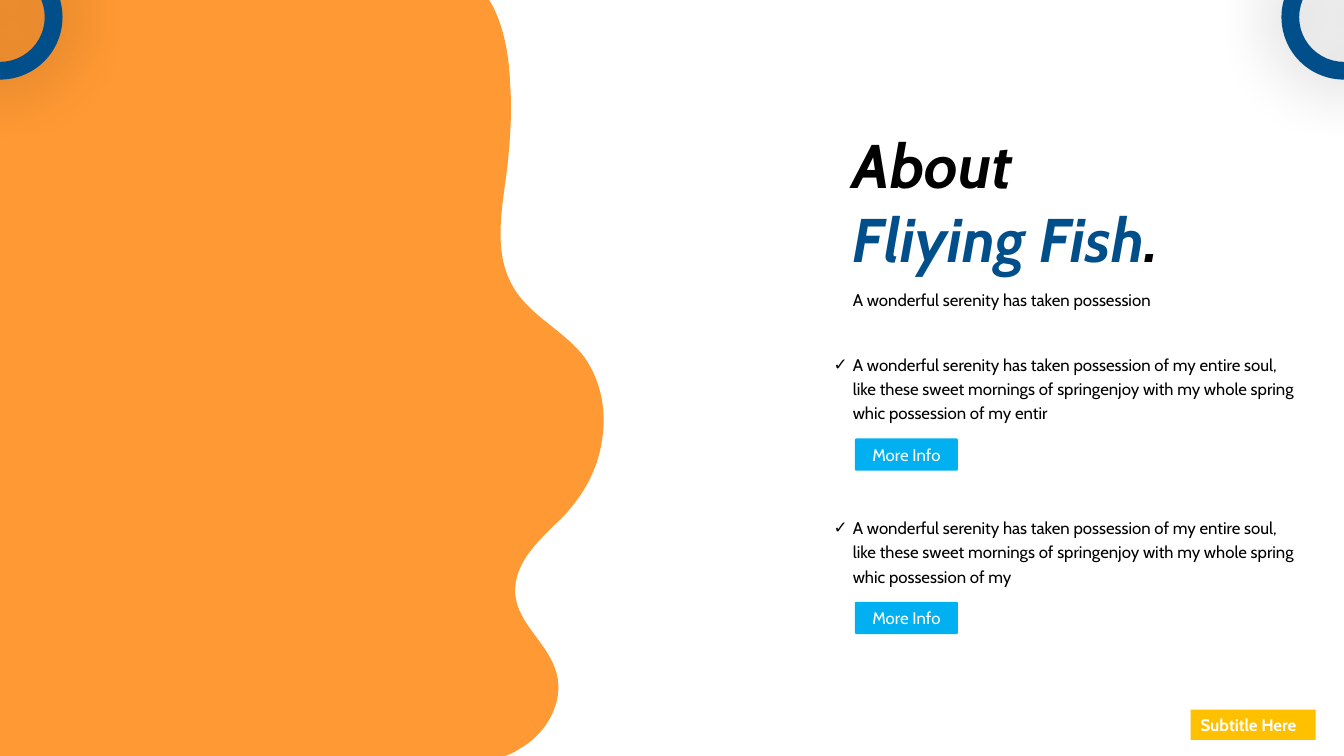
from lxml import etree
from pptx import Presentation
from pptx.dml.color import RGBColor
from pptx.enum.shapes import MSO_SHAPE
from pptx.enum.text import MSO_ANCHOR, MSO_AUTO_SIZE, PP_ALIGN
from pptx.oxml.ns import qn
from pptx.util import Inches, Pt

FONT = "Cabin"
BLACK, WHITE, NAVY = "000000", "FFFFFF", "004F8A"
ORANGE, SKY, GOLD = "FF9933", "00B0F0", "FFC000"

# Wave edge from bottom to top: each row is control, control, end
CURVES = [
    ((5.09, 7.47), (5.12, 7.45), (5.15, 7.43)),
    ((5.41, 7.29), (5.6, 6.97), (5.52, 6.68)),
    ((5.44, 6.38), (5.13, 6.19), (5.11, 5.89)),
    ((5.09, 5.57), (5.37, 5.34), (5.59, 5.12)),
    ((5.78, 4.92), (5.93, 4.66), (5.97, 4.37)),
    ((6.02, 4.08), (5.96, 3.78), (5.8, 3.55)),
    ((5.59, 3.27), (5.24, 3.13), (5.08, 2.83)),
    ((4.89, 2.49), (4.98, 2.07), (5.03, 1.67)),
    ((5.06, 1.4), (5.08, 1.11), (5.06, 0.84)),
    ((5.05, 0.56), (5, 0.26), (4.87, 0.03)),
]

LEAD = "A wonderful serenity has taken possession"
BODY = (LEAD + " of my entire soul, like these sweet mornings of springenjoy "
        "with my whole spring whic possession of my")


def color(code):
    return RGBColor.from_string(code)


def paint(shape, code):
    shape.shadow.inherit = False
    shape.fill.solid()
    shape.fill.fore_color.rgb = color(code)
    shape.line.fill.background()
    return shape


def block(slide, kind, box, code):
    return paint(slide.shapes.add_shape(kind, *map(Inches, box)), code)


def label(slide, box):
    shape = slide.shapes.add_textbox(*map(Inches, box))
    shape.text_frame.auto_size = MSO_AUTO_SIZE.SHAPE_TO_FIT_TEXT
    return shape


def write(shape, *lines, size=12, bold=False, italic=False, space=None,
          align=PP_ALIGN.LEFT, anchor=MSO_ANCHOR.TOP, mark=None):
    """Each line is a list of (text, color) runs."""
    frame = shape.text_frame
    frame.word_wrap = True
    frame.vertical_anchor = anchor
    for i, runs in enumerate(lines):
        para = frame.add_paragraph() if i else frame.paragraphs[0]
        para.alignment = align
        if space:
            para.line_spacing = space
        if mark:
            props = para._p.get_or_add_pPr()
            props.set("marL", str(Inches(0.19)))
            props.set("indent", str(Inches(-0.19)))
            etree.SubElement(props, qn("a:buFont"), typeface="Arial")
            etree.SubElement(props, qn("a:buChar"), char=mark)
        for text, code in runs:
            run = para.add_run()
            run.text = text
            font = run.font
            font.name, font.size = FONT, Pt(size)
            font.bold, font.italic = bold, italic
            font.color.rgb = color(code)


def wave(slide, x, y, wide, high):
    # Corners first, then the control points of every curve
    base = [(4.85, 0), (0, 0), (0, high), (5.01, high), (5.06, 7.48)]
    dots = base + [dot for curve in CURVES for dot in curve]
    dots = [(round(a * 100), round(b * 100)) for a, b in dots]
    form = slide.shapes.build_freeform(*dots[0], scale=Inches(1) / 100)
    form.add_line_segments(dots[1:])
    shape = paint(form.convert_to_shape(Inches(x), Inches(y)), ORANGE)

    # Turn each three lines of the edge into one cubic curve
    outline = next(shape._element.iter(qn("a:path")))
    lines = outline.findall(qn("a:lnTo"))[len(base) - 1:]
    for i in range(0, len(CURVES) * 3, 3):
        bend = etree.Element(qn("a:cubicBezTo"))
        lines[i].addprevious(bend)
        for line in lines[i:i + 3]:
            bend.append(line[0])
            outline.remove(line)

    # Fit the frame to the curve, not to its control points
    outline.set("w", str(round(wide * 100)))
    shape.width = Inches(wide)


def ring(slide, x, y, size):
    shape = block(slide, MSO_SHAPE.DONUT, (x, y, size, size), NAVY)
    shape.adjustments[0] = 0.142
    # Soft shadow on all sides
    effects = shape._element.spPr.find(qn("a:effectLst"))
    glow = etree.SubElement(effects, qn("a:outerShdw"), blurRad=str(Pt(49)),
                            dist="0", dir="0", algn="ctr", rotWithShape="0")
    tone = etree.SubElement(glow, qn("a:srgbClr"), val=BLACK)
    etree.SubElement(tone, qn("a:alpha"), val="33000")


def heading(slide, x, y):
    write(label(slide, (x, y, 5.22, 1.58)), [("About", BLACK)],
          [("Fliying Fish", NAVY), (".", BLACK)],
          size=44, bold=True, italic=True)
    write(label(slide, (x, y + 1.52, 4.42, 0.37)), [(LEAD, BLACK)], space=1.5)


def point(slide, x, y, text):
    write(label(slide, (x, y, 4.82, 0.81)), [(text, BLACK)],
          space=1.2, mark="✓")
    button = block(slide, MSO_SHAPE.ROUNDED_RECTANGLE,
                   (x + 0.31, y + 0.92, 1.02, 0.32), SKY)
    button.adjustments[0] = 0.042
    write(button, [("More Info", WHITE)], align=PP_ALIGN.CENTER,
          anchor=MSO_ANCHOR.MIDDLE)


def footer(slide, x, y):
    tag = block(slide, MSO_SHAPE.RECTANGLE, (x, y, 1.24, 0.3), GOLD)
    write(tag, [("Subtitle Here", WHITE)], bold=True)


def main():
    deck = Presentation()
    deck.slide_width, deck.slide_height = Inches(13.33), Inches(7.5)
    slide = deck.slides.add_slide(deck.slide_layouts[6])
    wave(slide, 0, 0, 5.99, 7.5)
    heading(slide, 8.36, 1.21)
    for i, text in enumerate((BODY + " entir", BODY)):
        point(slide, 8.17, 3.43 + 1.62 * i, text)
    footer(slide, 11.81, 7.04)
    for mid in (0, 13.33):
        ring(slide, mid - 0.62, -0.45, 1.24)
    deck.save("out.pptx")


if __name__ == "__main__":
    main()
